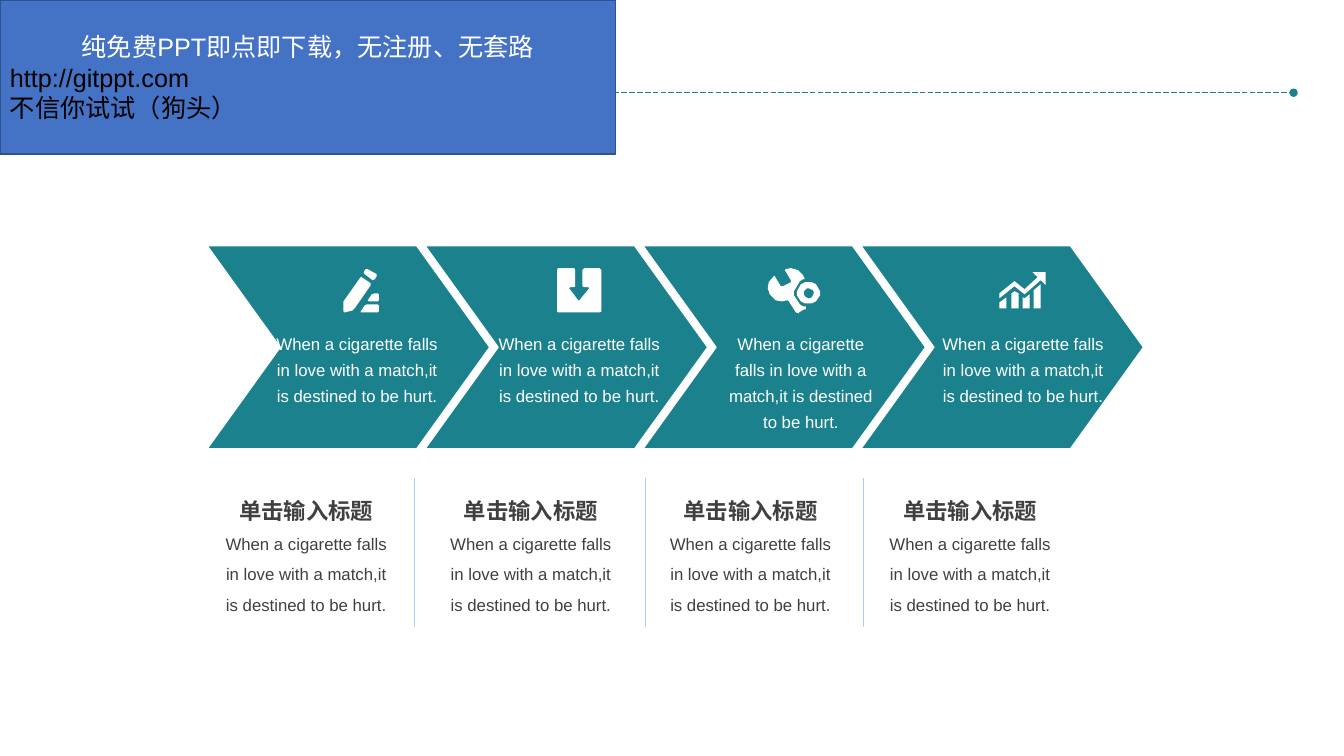
import pptx
import pptx.util
import pptx.dml.color
import pptx.enum.dml
import pptx.enum.shapes
import pptx.enum.text
import pptx.oxml
import pptx.oxml.ns
from lxml import etree
from pptx.util import Inches

THEME = {
    "teal": "1B828D", "white": "FFFFFF", "text": "404040", "divider": "A6D1F1",
    "banner": "4472C4", "banner_edge": "2F528F", "black": "000000",
    "font": "Arial", "headline": 18, "title": 16, "body": 12,
}
BODY = "When a cigarette falls in love with a match,it is destined to be hurt."
MSO = pptx.enum.shapes.MSO_SHAPE
ALIGN = pptx.enum.text.PP_ALIGN


def rgb(name):
    return pptx.dml.color.RGBColor.from_string(THEME[name])


def add_text(tf, text, size="body", color="text", bold=False, spacing=1.3,
             align=ALIGN.CENTER, inset=(0, 0), first=True):
    tf.word_wrap = True
    tf.margin_left = tf.margin_right = Inches(inset[0])
    tf.margin_top = tf.margin_bottom = Inches(inset[1])
    p = tf.paragraphs[0] if first else tf.add_paragraph()
    p.alignment = align
    p.line_spacing = spacing
    r = p.add_run()
    r.text = text
    r.font.name = THEME["font"]
    r.font.size = pptx.util.Pt(THEME[size])
    r.font.bold = bold
    r.font.color.rgb = rgb(color)


prs = pptx.Presentation()
prs.slide_width, prs.slide_height = Inches(13.34), Inches(7.5)
s = prs.slides.add_slide(prs.slide_layouts[6])

lines = [(1.49, 0.92, 12.84, 0.92, "teal")]
lines += [(x, 4.74, x, 6.22, "divider") for x in (4.11, 6.41, 8.57)]
for x1, y1, x2, y2, color in lines:
    c = s.shapes.add_connector(
        pptx.enum.shapes.MSO_CONNECTOR.STRAIGHT,
        Inches(x1), Inches(y1), Inches(x2), Inches(y2))
    c.line.color.rgb = rgb(color)
    c.line.width = pptx.util.Pt(0.5)
    spPr = c.element.spPr
    if color == "teal":
        c.line.dash_style = pptx.enum.dml.MSO_LINE.LONG_DASH
        ln = spPr.find(pptx.oxml.ns.qn("a:ln"))
        etree.SubElement(ln, pptx.oxml.ns.qn("a:tailEnd"), type="oval")
    etree.SubElement(spPr, pptx.oxml.ns.qn("a:effectLst"))

blocks = [(MSO.CHEVRON, 2.06 + 2.163 * i, 2.44, 2.8, 2.01, "teal", "white", 0.75) for i in range(4)]
blocks.append((MSO.RECTANGLE, 0, 0, 6.11, 1.53, "banner", "banner_edge", 1))
for kind, x, y, w, h, fill, edge, weight in blocks:
    sp = s.shapes.add_shape(kind, Inches(x), Inches(y), Inches(w), Inches(h))
    sp.shadow.inherit = False
    sp.fill.solid()
    sp.fill.fore_color.rgb = rgb(fill)
    sp.line.color.rgb = rgb(edge)
    sp.line.width = pptx.util.Pt(weight)
    if kind == MSO.CHEVRON:
        sp.adjustments[0] = 0.36
    else:
        banner = sp

banner.text_frame.vertical_anchor = pptx.enum.text.MSO_ANCHOR.MIDDLE
for i, (text, color, align) in enumerate((
        ("纯免费PPT即点即下载，无注册、无套路", "white", ALIGN.CENTER),
        ("http://gitppt.com", "black", ALIGN.LEFT),
        ("不信你试试（狗头）", "black", ALIGN.LEFT))):
    add_text(banner.text_frame, text, size="headline", color=color, spacing=1.0,
             align=align, inset=(0.1, 0.05), first=i == 0)

pencil = [
    [[(368, 281), (368, 283), (352, 306), (350, 308), (342, 310), (341, 309),
      (341, 301), (341, 299), (358, 275), (359, 275)]],
    [[(374, 272), (374, 274), (372, 277), (370, 278), (362, 272), (361, 270),
      (363, 267), (365, 267)]],
    [[(376, 309), (375, 310), (358, 310), (358, 309), (362, 303), (364, 302),
      (375, 302), (376, 303)]],
    [[(376, 298), (375, 299), (366, 299), (365, 298), (369, 292), (372, 291),
      (375, 291), (376, 292)]],
]
download = [
    [[(597, 268), (597, 309), (595, 310), (554, 310), (553, 309), (553, 268),
      (554, 266), (570, 266), (571, 268), (571, 284), (570, 285), (566, 285),
      (565, 286), (574, 298), (575, 298), (585, 286), (584, 285), (580, 285),
      (578, 284), (578, 268), (580, 266), (595, 266)]],
]
wrench = [
    [[(800, 307), (798, 307), (793, 310), (793, 311), (790, 310), (783, 299),
      (782, 298), (781, 298), (776, 299), (770, 298), (764, 292), (762, 286),
      (763, 280), (768, 274), (769, 274), (775, 284), (777, 284), (785, 280),
      (785, 278), (779, 268), (780, 267), (785, 266), (792, 268), (797, 273),
      (799, 277), (797, 277), (794, 279), (788, 289), (788, 293), (794, 302),
      (797, 304), (800, 304)]],
    [[(814, 289), (810, 282), (806, 280), (799, 280), (795, 282), (791, 289),
      (791, 293), (795, 299), (799, 301), (806, 301), (810, 299), (814, 293)],
     [(803, 296), (802, 296), (799, 294), (798, 292), (798, 289), (799, 288),
      (801, 286), (803, 286), (807, 288), (808, 290), (807, 293), (806, 295)]],
]
growth = [
    [[(1004, 291), (1004, 306), (1011, 306), (1011, 291), (1007, 289)],
     [(992, 306), (999, 306), (999, 295), (992, 300)],
     [(1026, 288), (1026, 306), (1033, 306), (1033, 282)],
     [(1015, 295), (1015, 306), (1022, 306), (1022, 292), (1017, 296)]],
    [[(1038, 270), (1025, 270), (1030, 275), (1017, 287), (1007, 279), (992, 291),
      (992, 296), (1007, 284), (1017, 292), (1033, 278), (1038, 283)]],
]
for icon in (pencil, download, wrench, growth):
    grp = s.shapes.add_group_shape()
    for contours in icon:
        fb = grp.shapes.build_freeform(*contours[0][0], scale=Inches(0.01))
        fb.add_line_segments(contours[0][1:], close=True)
        for contour in contours[1:]:
            fb.move_to(*contour[0])
            fb.add_line_segments(contour[1:], close=True)
        sp = fb.convert_to_shape()
        sp.shadow.inherit = False
        sp.fill.solid()
        sp.fill.fore_color.rgb = rgb("white")
        sp.line.fill.background()

for x, w, h in ((2.69, 1.71, 0.78), (4.94, 1.62, 0.78), (7.16, 1.58, 1.04), (9.35, 1.61, 0.78)):
    tb = s.shapes.add_textbox(Inches(x), Inches(3.25), Inches(w), Inches(h))
    add_text(tb.text_frame, BODY, color="white")

for x in (2.19, 4.42, 6.6, 8.78):
    tb = s.shapes.add_textbox(Inches(x), Inches(4.85), Inches(1.7), Inches(1.25))
    add_text(tb.text_frame, "单击输入标题", size="title", bold=True)
    add_text(tb.text_frame, BODY, spacing=1.5, first=False)

prs.save("out.pptx")
